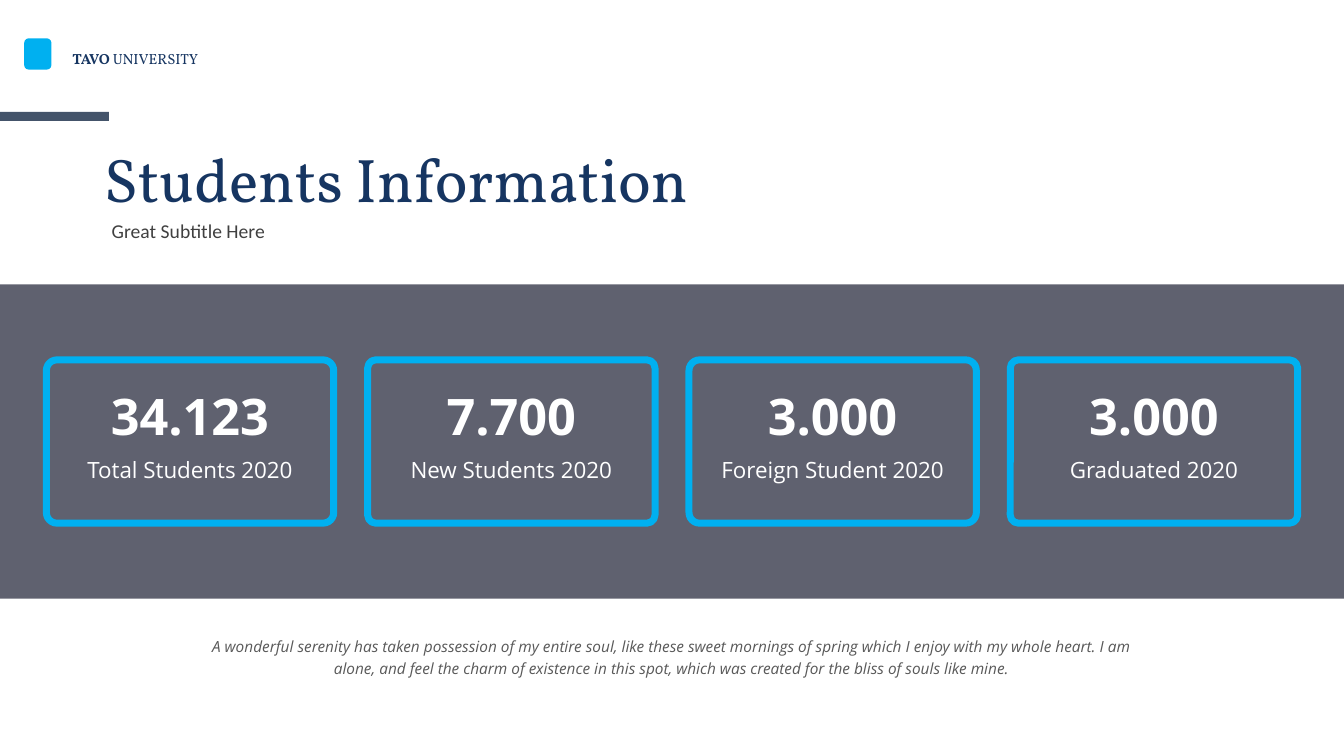
import typing

import pptx
import pptx.dml.color
import pptx.enum.shapes
import pptx.enum.text
import pptx.oxml
import pptx.oxml.ns
import pptx.util

WIDTH, HEIGHT = 13.33, 7.5
NAVY, SKY, WHITE = "163561", "00B0F0", "FFFFFF"
SHAPE = pptx.enum.shapes.MSO_SHAPE
ALIGN = pptx.enum.text.PP_ALIGN


class Area(typing.NamedTuple):
    """Percentages of the slide's width and height."""
    left: float
    top: float
    width: float
    height: float

    def lengths(self) -> list[int]:
        sides = (WIDTH, HEIGHT, WIDTH, HEIGHT)
        return [pptx.util.Inches(share * side / 100) for share, side in zip(self, sides)]


class Run(typing.NamedTuple):
    text: str
    size: float
    font: str
    color: str
    bold: bool = False
    italic: bool = False


class Statistic(typing.NamedTuple):
    count: str
    label: str
    rounding: float


def rgb(color: str) -> pptx.dml.color.RGBColor:
    return pptx.dml.color.RGBColor.from_string(color)


def write(box: typing.Any, runs: list[Run], align: typing.Any = ALIGN.LEFT,
          spacing: float = 1.0, inset: bool = True) -> None:
    frame = box.text_frame
    frame.word_wrap = True
    frame.auto_size = pptx.enum.text.MSO_AUTO_SIZE.NONE
    if not inset:
        frame.margin_left = frame.margin_right = frame.margin_top = frame.margin_bottom = 0
    paragraph = frame.paragraphs[0]
    paragraph.alignment = align
    paragraph.line_spacing = spacing
    for item in runs:
        run = paragraph.add_run()
        run.text = item.text
        run.font.size = pptx.util.Pt(item.size)
        run.font.name = item.font
        run.font.bold = item.bold
        run.font.italic = item.italic
        run.font.color.rgb = rgb(item.color)


def add_text(area: Area, runs: list[Run], **layout: typing.Any) -> None:
    write(slide.shapes.add_textbox(*area.lengths()), runs, **layout)


def add_block(kind: typing.Any, area: Area, fill: str = "", line: str = "",
              opacity: int = 100, rounding: float = 0) -> None:
    block = slide.shapes.add_shape(kind, *area.lengths())
    block.shadow.inherit = False
    if fill:
        block.fill.solid()
        block.fill.fore_color.rgb = rgb(fill)
    else:
        block.fill.background()
    if line:
        block.line.color.rgb = rgb(line)
        block.line.width = pptx.util.Pt(5)
    else:
        block.line.fill.background()
    if opacity < 100:
        color = block.fill._xPr.find(".//" + pptx.oxml.ns.qn("a:srgbClr"))
        alpha = pptx.oxml.parse_xml(f'<a:alpha {pptx.oxml.ns.nsdecls("a")} val="{opacity * 1000}"/>')
        color.append(alpha)
    if rounding:
        block.adjustments[0] = rounding


presentation = pptx.Presentation()
presentation.slide_width = pptx.util.Inches(WIDTH)
presentation.slide_height = pptx.util.Inches(HEIGHT)
slide = presentation.slides.add_slide(presentation.slide_layouts[5])

# Backdrop and accent bar
add_block(SHAPE.RECTANGLE, Area(0, 37.6, 100, 41.6), fill="1C1F33", opacity=70)
add_block(SHAPE.RECTANGLE, Area(0, 14.8, 8.1, 1.2), fill="44546A")

# Brand line with a plain emblem
add_block(SHAPE.ROUNDED_RECTANGLE, Area(1.8, 5.07, 2.03, 4.13), fill=SKY)
add_text(Area(4.65, 5.87, 11.33, 3.73), [
    Run("TAVO ", 10.5, "Vollkorn", NAVY, bold=True),
    Run("UNIVERSITY", 10.5, "Vollkorn", NAVY),
])

# Heading
heading = slide.shapes.title
heading.left, heading.top, heading.width, heading.height = Area(6.98, 16, 54.76, 15.07).lengths()
heading.text_frame.vertical_anchor = pptx.enum.text.MSO_ANCHOR.MIDDLE
write(heading, [Run("Students Information", 44, "Vollkorn", NAVY)])
add_text(Area(7.58, 28.27, 27.16, 4.53), [Run("Great Subtitle Here", 14, "Calibri", "404040")])

# Statistic cards, spread evenly between the side margins
statistics = [
    Statistic("34.123", "Total Students 2020", 0.065),
    Statistic("7.700", "New Students 2020", 0.05),
    Statistic("3.000", "Foreign Student 2020", 0.065),
    Statistic("3.000", "Graduated 2020", 0.05),
]
MARGIN, CARD, PADDING = 3.45, 21.38, 0.79
pitch = (100 - 2 * MARGIN - CARD) / (len(statistics) - 1)
for column, statistic in enumerate(statistics):
    left = MARGIN + column * pitch
    add_block(SHAPE.ROUNDED_RECTANGLE, Area(left, 47.6, CARD, 21.6), line=SKY,
              rounding=statistic.rounding)
    for text, size, top, height, bold in (
        (statistic.count, 36, 51.87, 8.67, True),
        (statistic.label, 16, 60.8, 4.53, False),
    ):
        add_text(Area(left + PADDING, top, CARD - 2 * PADDING, height),
                 [Run(text, size, "Open Sans", WHITE, bold=bold)],
                 align=ALIGN.CENTER, spacing=0.9, inset=False)

# Closing quote
add_text(Area(14.48, 83.07, 71.04, 7.07), [Run(
    "A wonderful serenity has taken possession of my entire soul, like these sweet mornings "
    "of spring which I enjoy with my whole heart. I am alone, and feel the charm of existence "
    "in this spot, which was created for the bliss of souls like mine.",
    11, "Open Sans", "595959", italic=True)], align=ALIGN.CENTER, spacing=1.2)

presentation.save("out.pptx")
